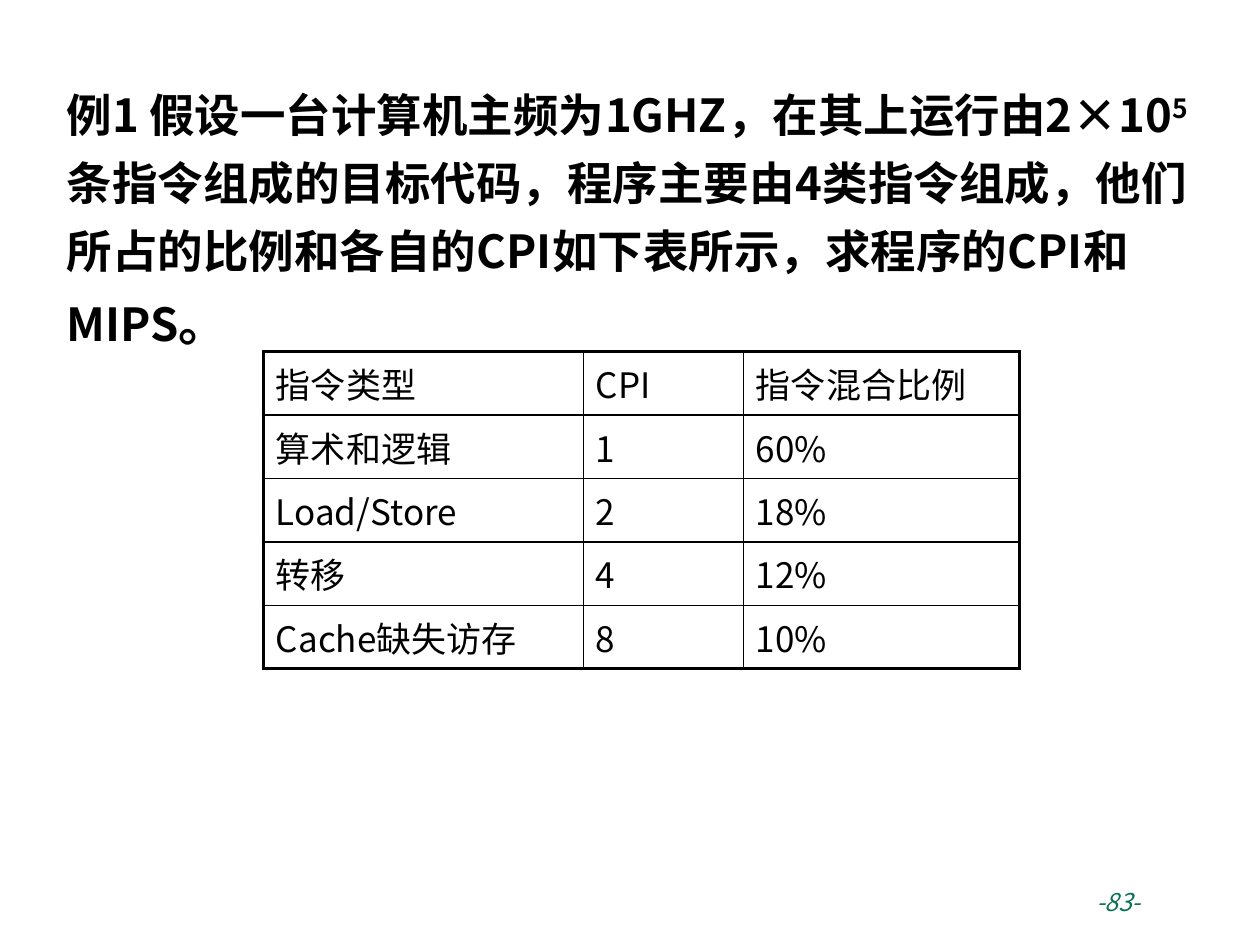
from lxml import etree
from pptx import Presentation
from pptx.dml.color import RGBColor
from pptx.enum.text import MSO_AUTO_SIZE
from pptx.oxml.ns import qn
from pptx.util import Inches, Pt

GROW = MSO_AUTO_SIZE.SHAPE_TO_FIT_TEXT
FONT = "Noto Sans CJK SC"
BLACK = RGBColor(0x00, 0x00, 0x00)
GREEN = RGBColor(0x0D, 0x71, 0x57)
THICK, THIN = Pt(2.25), Pt(1)

PROBLEM = [
    "例1 假设一台计算机主频为1GHZ，在其上运行由2×10",
    "5",
    "条指令组成的目标代码，程序主要由4类指令组成，他们所占的比例和各自的CPI如下表所示，求程序的CPI和MIPS",
    "。",
]
EXPONENT, FULL_STOP = 1, 3
INSTRUCTIONS = [
    ("指令类型", "CPI", "指令混合比例"),
    ("算术和逻辑", "1", "60%"),
    ("Load/Store", "2", "18%"),
    ("转移", "4", "12%"),
    ("Cache缺失访存", "8", "10%"),
]
COLUMN_WIDTHS = (2.54, 1.27, 2.19)
ROW_HEIGHT = 0.5
PAGE_NUMBER = "-83-"


def style(paragraph, size, color, bold=False, italic=False):
    font = paragraph.font
    font.name, font.size = FONT, Pt(size)
    font.bold, font.italic = bold, italic
    font.color.rgb = color
    defaults = paragraph._p.pPr.find(qn("a:defRPr"))
    etree.SubElement(defaults, qn("a:ea"), typeface=FONT)


def add_text_frame(slide, left, top, width, height):
    box = slide.shapes.add_textbox(
        Inches(left), Inches(top), Inches(width), Inches(height))
    box.text_frame.word_wrap = True
    return box.text_frame


def set_borders(cell, widths):
    """Draw the cell's borders; widths maps L, R, T, B (in that order)."""
    properties = cell._tc.get_or_add_tcPr()
    for index, (side, width) in enumerate(widths.items()):
        line = etree.Element(qn(f"a:ln{side}"), w=str(width))
        fill = etree.SubElement(line, qn("a:solidFill"))
        etree.SubElement(fill, qn("a:srgbClr"), val=str(BLACK))
        properties.insert(index, line)


def add_problem(slide):
    frame = add_text_frame(slide, 0.43, 0.53, 9.37, 2.3)
    frame.auto_size = GROW
    paragraph = frame.paragraphs[0]
    paragraph.line_spacing = 1.25
    for text in PROBLEM:
        paragraph.add_run().text = text
    style(paragraph, 26, BLACK, bold=True)
    paragraph.runs[EXPONENT]._r.get_or_add_rPr().set("baseline", "30000")
    paragraph.runs[FULL_STOP].font.size = Pt(28)


def add_instruction_table(slide):
    row_count, column_count = len(INSTRUCTIONS), len(COLUMN_WIDTHS)
    table = slide.shapes.add_table(
        row_count, column_count, Inches(2.09), Inches(2.79),
        Inches(sum(COLUMN_WIDTHS)), Inches(ROW_HEIGHT * row_count)).table
    table.first_row = table.horz_banding = False
    for column, width in zip(table.columns, COLUMN_WIDTHS):
        column.width = Inches(width)
    for r, row in enumerate(INSTRUCTIONS):
        for c, text in enumerate(row):
            cell = table.cell(r, c)
            cell.text = text
            style(cell.text_frame.paragraphs[0], 20, BLACK)
            cell.fill.background()
            outer = {"L": c == 0, "R": c == column_count - 1,
                     "T": r == 0, "B": r == row_count - 1}
            set_borders(cell, {side: THICK if edge else THIN
                               for side, edge in outer.items()})


def add_page_number(slide):
    frame = add_text_frame(slide, 8.55, 6.99, 1.11, 0.52)
    frame.margin_left = Inches(0.15)
    frame.text = PAGE_NUMBER
    style(frame.paragraphs[0], 14, GREEN, italic=True)


def main():
    presentation = Presentation()
    presentation.slide_width, presentation.slide_height = Inches(10), Inches(7.5)
    slide = presentation.slides.add_slide(presentation.slide_layouts[6])
    add_instruction_table(slide)
    add_problem(slide)
    add_page_number(slide)
    presentation.save("out.pptx")


if __name__ == "__main__":
    main()
